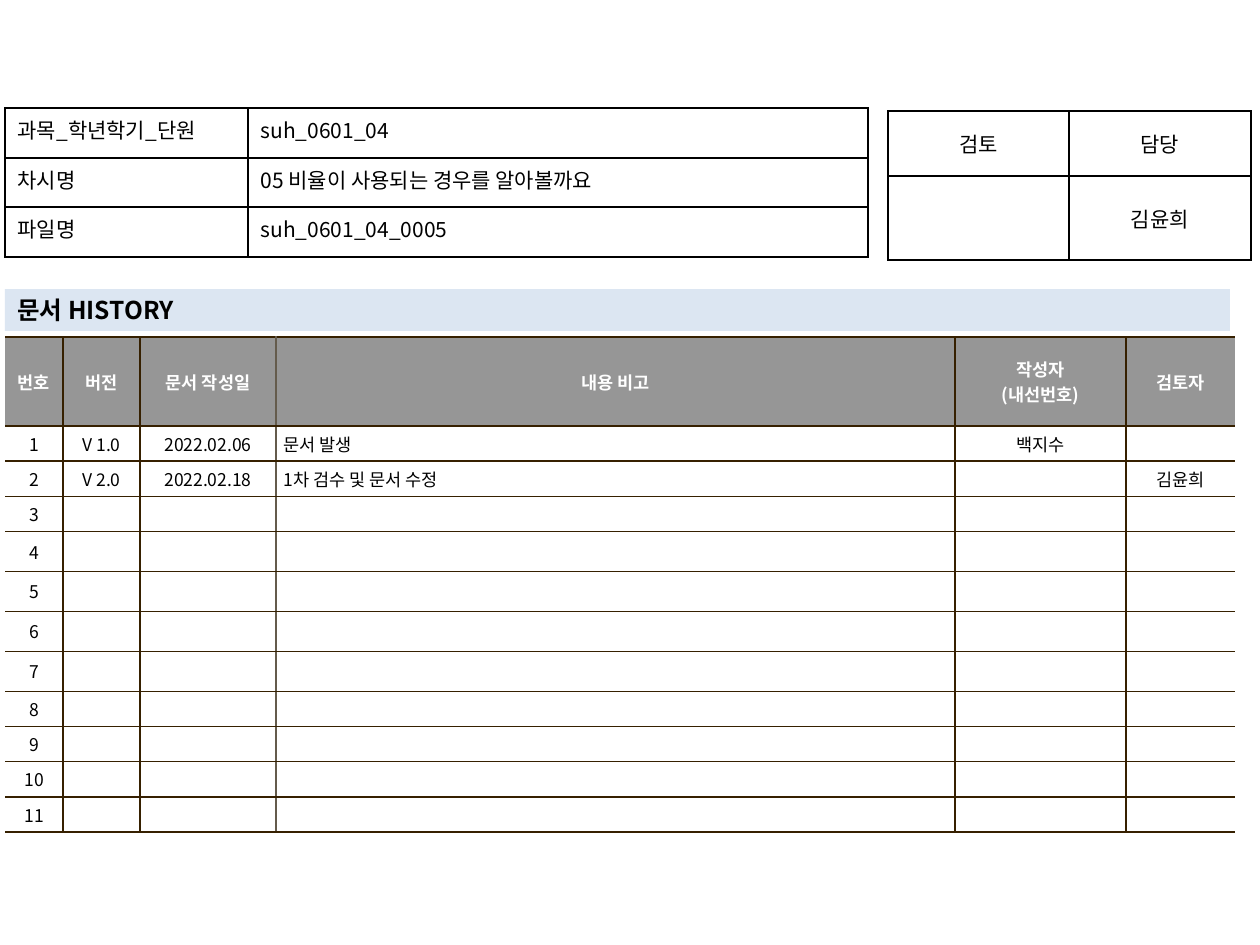
from dataclasses import dataclass

from lxml import etree
from pptx import Presentation
from pptx.dml.color import RGBColor
from pptx.enum.shapes import MSO_SHAPE
from pptx.enum.text import MSO_ANCHOR, PP_ALIGN
from pptx.oxml.ns import qn
from pptx.util import Pt

LEFT, CENTER, JUSTIFY = PP_ALIGN.LEFT, PP_ALIGN.CENTER, PP_ALIGN.JUSTIFY
TOP, MIDDLE = MSO_ANCHOR.TOP, MSO_ANCHOR.MIDDLE


@dataclass(frozen=True)
class Theme:
    font: str = "Noto Sans CJK KR"
    black: str = "000000"
    white: str = "FFFFFF"
    header: str = "969696"
    band: str = "DCE6F2"
    rule: str = "362000"
    soft_rule: str = "645B4C"
    small: int = 10
    body: int = 12
    title: int = 14


T = Theme()

INFO = [
    ["과목_학년학기_단원", "suh_0601_04"],
    ["차시명", "05 비율이 사용되는 경우를 알아볼까요"],
    ["파일명", "suh_0601_04_0005"],
]
REVIEW = [["검토", "담당"], ["", "김윤희"]]
TITLE = "문서 HISTORY"
HEADER = ["번호", "버전", "문서 작성일", "내용 비고", "작성자\n(내선번호)", "검토자"]
ENTRIES = [
    ["V 1.0", "2022.02.06", "문서 발생", "백지수", ""],
    ["V 2.0", "2022.02.18", "1차 검수 및 문서 수정", "", "김윤희"],
]
ENTRY_COUNT = 11
NOTE_COL = 3

INFO_COLS, INFO_ROWS = [243, 620], [50, 49, 50]
REVIEW_COLS, REVIEW_ROWS = [181, 182], [65, 84]
HISTORY_COLS = [58, 77, 136, 679, 171, 109]
HISTORY_ROWS = [89] + [35] * 3 + [40] * 4 + [35] * 4


def px(n):
    return round(n * 914400 / 126)


def set_font(p, size, color, bold=False):
    """Style a paragraph for Latin and Korean text, and its end mark for empty cells."""
    p.font.size = Pt(size)
    p.font.bold = bold
    p.font.color.rgb = RGBColor.from_string(color)
    p.font.name = T.font
    props = p._p.pPr.find(qn("a:defRPr"))
    etree.SubElement(props, qn("a:ea")).set("typeface", T.font)
    if not p.text:
        etree.SubElement(p._p, qn("a:endParaRPr")).set("sz", str(size * 100))


def set_borders(cell, colors):
    """Draw 1 pt borders in the order left, right, top, bottom; None hides one."""
    props = cell._tc.get_or_add_tcPr()
    for side, color in zip("LRTB", colors):
        ln = etree.SubElement(props, qn(f"a:ln{side}"), w=str(Pt(1)))
        if color:
            fill = etree.SubElement(ln, qn("a:solidFill"))
            etree.SubElement(fill, qn("a:srgbClr"), val=color)
        else:
            etree.SubElement(ln, qn("a:noFill"))


def add_table(slide, x, y, cols, rows, data):
    """Add a plain table of the given sizes and yield (row, column, cell)."""
    table = slide.shapes.add_table(len(rows), len(cols), px(x), px(y),
                                   px(sum(cols)), px(sum(rows))).table
    table.first_row = table.horz_banding = False
    for column, width in zip(table.columns, cols):
        column.width = px(width)
    for row, height in zip(table.rows, rows):
        row.height = px(height)
    for r, values in enumerate(data):
        for c, value in enumerate(values):
            cell = table.cell(r, c)
            cell.text = value
            yield r, c, cell


def style_cell(cell, align, anchor, size, color, bold=False):
    cell.vertical_anchor = anchor
    for p in cell.text_frame.paragraphs:
        p.alignment = align
        set_font(p, size, color, bold)


def add_boxed_table(slide, x, y, cols, rows, data, aligns, anchor):
    for _, c, cell in add_table(slide, x, y, cols, rows, data):
        style_cell(cell, aligns[c], anchor, T.body, T.black)
        set_borders(cell, [T.black] * 4)
        cell.fill.background()


def add_history(slide, x, y):
    blank = [""] * (len(HEADER) - 1)
    entries = ENTRIES + [blank] * (ENTRY_COUNT - len(ENTRIES))
    data = [HEADER] + [[str(n), *entry] for n, entry in enumerate(entries, 1)]
    uprights = [None] + [T.rule] * (len(HEADER) - 1) + [None]
    uprights[NOTE_COL] = T.soft_rule
    for r, c, cell in add_table(slide, x, y, HISTORY_COLS, HISTORY_ROWS, data):
        head = r == 0
        align = LEFT if c == NOTE_COL and not head else CENTER
        style_cell(cell, align, MIDDLE, T.small, T.white if head else T.black, head)
        cell.margin_left = cell.margin_right = px(8)
        cell.margin_top = cell.margin_bottom = px(5)
        set_borders(cell, [uprights[c], uprights[c + 1], T.rule, T.rule])
        cell.fill.solid()
        cell.fill.fore_color.rgb = RGBColor.from_string(T.header if head else T.white)


def add_title(slide, x, y, w, h):
    sp = slide.shapes.add_shape(MSO_SHAPE.RECTANGLE, px(x), px(y), px(w), px(h))
    sp.shadow.inherit = False
    sp.fill.solid()
    sp.fill.fore_color.rgb = RGBColor.from_string(T.band)
    sp.line.fill.background()
    tf = sp.text_frame
    tf.vertical_anchor = MIDDLE
    p = tf.paragraphs[0]
    p.text = TITLE
    p.alignment = LEFT
    set_font(p, T.title, T.black, True)


def main():
    prs = Presentation()
    prs.slide_width, prs.slide_height = px(1260), px(945)
    slide = prs.slides.add_slide(prs.slide_layouts[6])
    add_history(slide, 5, 337)
    add_boxed_table(slide, 888, 111, REVIEW_COLS, REVIEW_ROWS, REVIEW,
                    [CENTER, CENTER], MIDDLE)
    add_title(slide, 5, 289, 1225, 42)
    add_boxed_table(slide, 5, 108, INFO_COLS, INFO_ROWS, INFO, [JUSTIFY, LEFT], TOP)
    prs.save("out.pptx")


if __name__ == "__main__":
    main()
